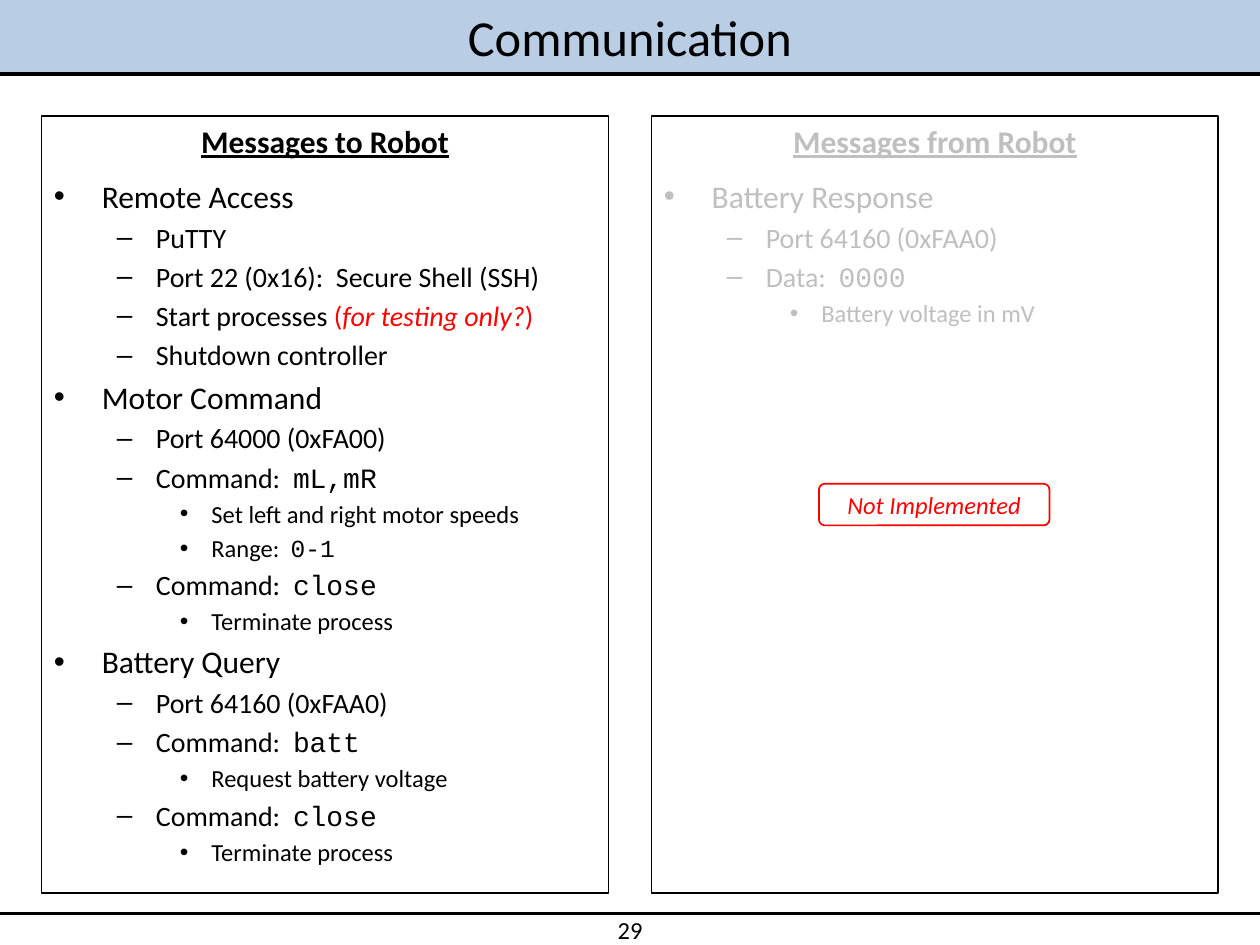
from lxml.etree import SubElement
from pptx import Presentation
from pptx.dml.color import RGBColor
from pptx.enum.shapes import MSO_CONNECTOR, MSO_SHAPE
from pptx.enum.text import MSO_ANCHOR, PP_ALIGN
from pptx.oxml.ns import qn
from pptx.util import Inches, Pt

# Content: (level, text, optional styled runs as (text, style))
TITLE, PAGE, STAMP = "Communication", "29", "Not Implemented"
TO_ROBOT = ("Messages to Robot", [
    (0, "Remote Access"),
    (1, "PuTTY"),
    (1, "Port 22 (0x16):  Secure Shell (SSH)"),
    (1, "Start processes ", ("(", "warn"), ("for testing only?", "aside"), (")", "warn")),
    (1, "Shutdown controller"),
    (0, "Motor Command"),
    (1, "Port 64000 (0xFA00)"),
    (1, "Command:  ", ("mL,mR", "code")),
    (2, "Set left and right motor speeds"),
    (2, "Range:  ", ("0-1", "code")),
    (1, "Command:  ", ("close", "code")),
    (2, "Terminate process"),
    (0, "Battery Query"),
    (1, "Port 64160 (0xFAA0)"),
    (1, "Command:  ", ("batt", "code")),
    (2, "Request battery voltage"),
    (1, "Command:  ", ("close", "code")),
    (2, "Terminate process"),
])
FROM_ROBOT = ("Messages from Robot", [
    (0, "Battery Response"),
    (1, "Port 64160 (0xFAA0)"),
    (1, "Data:  ", ("0000", "code")),
    (2, "Battery voltage in mV"),
])


class Theme:
    black, white = RGBColor(0, 0, 0), RGBColor(255, 255, 255)
    red, grey = RGBColor(255, 0, 0), RGBColor(0xBF, 0xBF, 0xBF)
    band = RGBColor(0xB9, 0xCD, 0xE5)
    font, mono = "Calibri", "Courier New"
    title, heading, small = 28.8, 18, 14
    # Per level: type size, left margin, hanging indent, bullet
    levels = [(18, 0.38, 0.38, "•"), (16, 0.81, 0.31, "–"), (14, 1.25, 0.25, "•")]
    styles = {"code": {"name": mono}, "warn": {"color": red},
              "aside": {"color": red, "italic": True}}


def add_run(p, text, size, color=Theme.black, **fmt):
    r = p.add_run()
    r.text = text
    for key, value in {"name": Theme.font, "size": Pt(size), **fmt}.items():
        setattr(r.font, key, value)
    r.font.color.rgb = color


def format_frame(tf, anchor, x_inset=0.1, y_inset=0.05):
    tf.word_wrap, tf.vertical_anchor = True, anchor
    tf.margin_left = tf.margin_right = Inches(x_inset)
    tf.margin_top = tf.margin_bottom = Inches(y_inset)
    p = tf.paragraphs[0]
    p.alignment = PP_ALIGN.CENTER
    return p


def add_box(s, kind, box, line, fill=None):
    sp = s.shapes.add_shape(kind, *map(Inches, box))
    sp.shadow.inherit = False
    sp.line.color.rgb, sp.line.width = line, Pt(1)
    if fill is None:
        sp.fill.background()
    else:
        sp.fill.solid()
        sp.fill.fore_color.rgb = fill
    return sp


def add_rule(s, y, width):
    line = s.shapes.add_connector(MSO_CONNECTOR.STRAIGHT, 0, Inches(y), Inches(10), Inches(y))
    line.line.color.rgb, line.line.width = Theme.black, Pt(width)
    SubElement(line._element.spPr, qn("a:effectLst"))


def add_item(tf, color, level, text, *styled):
    size, margin, hang, bullet = Theme.levels[level]
    p = tf.add_paragraph()
    p.level, p.alignment = level, PP_ALIGN.LEFT
    pPr = p._p.get_or_add_pPr()
    pPr.set("marL", str(Inches(margin)))
    pPr.set("indent", str(-Inches(hang)))
    SubElement(SubElement(pPr, qn("a:spcBef")), qn("a:spcPct"), val="20000")
    SubElement(pPr, qn("a:buFont"), typeface="Arial")
    SubElement(pPr, qn("a:buChar"), char=bullet)
    add_run(p, text, size, color)
    for part, style in styled:
        add_run(p, part, size, **{"color": color, **Theme.styles[style]})


def add_panel(s, x, color, heading, items):
    sp = add_box(s, MSO_SHAPE.RECTANGLE, (x, 0.92, 4.5, 6.17), Theme.black)
    tf = sp.text_frame
    p = format_frame(tf, MSO_ANCHOR.TOP)
    p.space_before, p.space_after = Pt(0), Pt(6)
    add_run(p, heading, Theme.heading, color, bold=True, underline=True)
    for item in items:
        add_item(tf, color, *item)


def main():
    prs = Presentation()
    prs.slide_width, prs.slide_height = Inches(10), Inches(7.5)
    s = prs.slides.add_slide(prs.slide_layouts[5])

    # Title band
    title = s.shapes.title
    title.left, title.top, title.width, title.height = map(Inches, (0, 0, 10, 0.58))
    title.fill.solid()
    title.fill.fore_color.rgb = Theme.band
    add_run(format_frame(title.text_frame, MSO_ANCHOR.MIDDLE), TITLE, Theme.title)

    # Rules and page number
    add_rule(s, 0.59, 2.25)
    add_rule(s, 7.25, 2)
    number = s.shapes.add_textbox(*map(Inches, (4.64, 7.26, 0.72, 0.24)))
    add_run(format_frame(number.text_frame, MSO_ANCHOR.TOP, y_inset=0), PAGE, Theme.small)

    # Message panels
    add_panel(s, 0.33, Theme.black, *TO_ROBOT)
    add_panel(s, 5.17, Theme.grey, *FROM_ROBOT)

    # Status stamp
    stamp = add_box(s, MSO_SHAPE.ROUNDED_RECTANGLE, (6.5, 3.84, 1.83, 0.33), Theme.red, Theme.white)
    stamp.adjustments[0] = 0.14
    p = format_frame(stamp.text_frame, MSO_ANCHOR.MIDDLE, 0.04, 0)
    add_run(p, STAMP, Theme.small, Theme.red, italic=True)

    prs.save("out.pptx")


if __name__ == "__main__":
    main()
